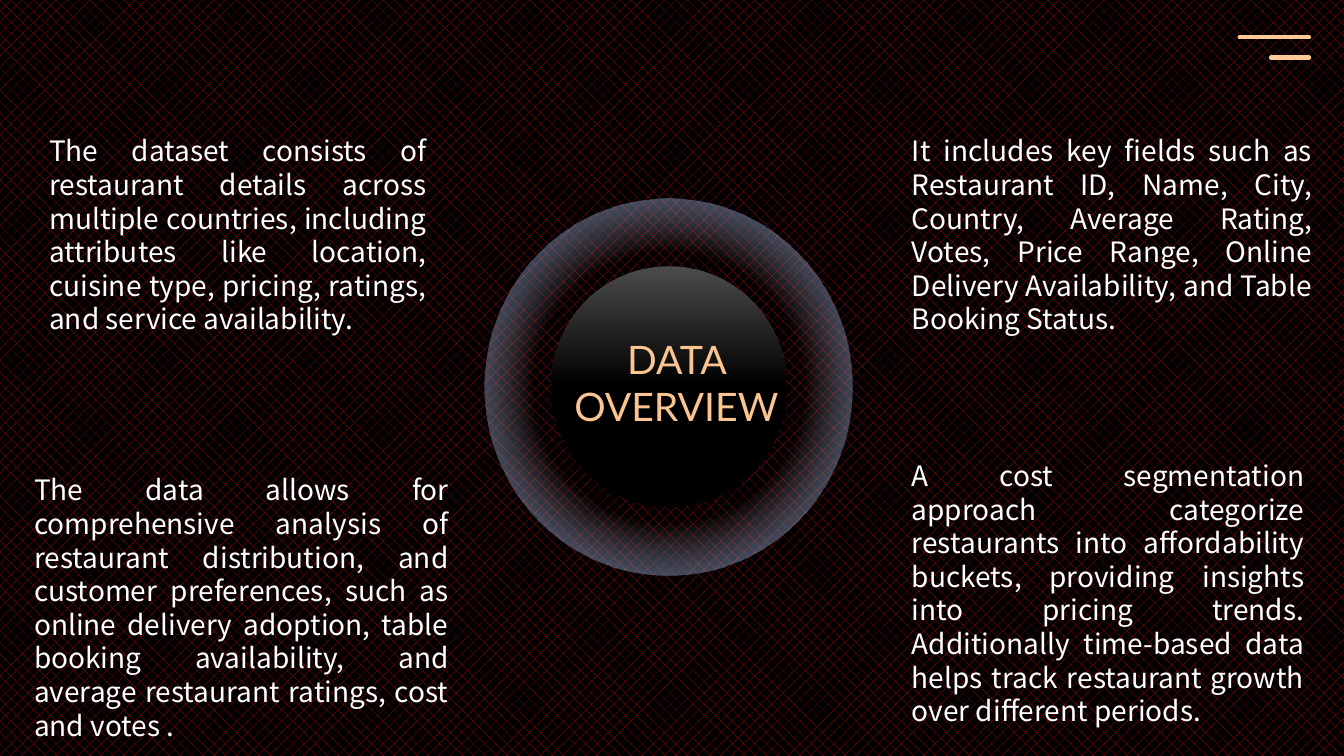
"""Builds the restaurant data overview slide."""
from lxml.etree import SubElement
from pptx import Presentation
from pptx.dml.color import RGBColor
from pptx.enum.dml import MSO_PATTERN
from pptx.enum.shapes import MSO_CONNECTOR, MSO_SHAPE
from pptx.enum.text import MSO_AUTO_SIZE, PP_ALIGN
from pptx.oxml import parse_xml
from pptx.oxml.ns import nsdecls, qn
from pptx.util import Cm, Pt

BLACK = RGBColor(0x00, 0x00, 0x00)
WHITE = RGBColor(0xFF, 0xFF, 0xFF)
RED = RGBColor(0xC0, 0x00, 0x00)
GREY = RGBColor(0x4B, 0x4B, 0x4B)
PALE_BLUE = RGBColor(0xDA, 0xE3, 0xF3)
BLUE = RGBColor(0x44, 0x72, 0xC4)
PEACH = RGBColor(0xFC, 0xC4, 0x90)
LIGHT_PEACH = RGBColor(0xFC, 0xC8, 0x96)

presentation = Presentation()
presentation.slide_width = Cm(33.87)
presentation.slide_height = Cm(19.05)
slide = presentation.slides.add_slide(presentation.slide_layouts[6])

background = slide.background.fill
background.patterned()
background.pattern = MSO_PATTERN.PERCENT_25
background.fore_color.rgb = RED
background.back_color.rgb = BLACK


def add_text(text, left, top, width, height, size, font, color, align, space_after=0):
    """Adds a wrapped text box with one paragraph."""
    box = slide.shapes.add_textbox(Cm(left), Cm(top), Cm(width), Cm(height))
    frame = box.text_frame
    frame.word_wrap = True
    frame.auto_size = MSO_AUTO_SIZE.SHAPE_TO_FIT_TEXT
    paragraph = frame.paragraphs[0]
    paragraph.alignment = align
    paragraph.space_after = Pt(space_after)
    run = paragraph.add_run()
    run.text = text
    run.font.size = Pt(size)
    run.font.name = font
    run.font.color.rgb = color


RADIAL = '<a:path path="circle"><a:fillToRect l="50000" t="50000" r="50000" b="50000"/></a:path>'
VERTICAL = '<a:lin ang="5400000" scaled="0"/>'
circles = [
    (12.22, 5.0, 9.27, 9.5, [(51, PALE_BLUE, 0), (100, BLUE, 100)], RADIAL),
    (13.89, 6.71, 5.94, 6.07, [(0, GREY, 100), (50, BLACK, 100), (100, BLACK, 100)], VERTICAL),
]
for left, top, width, height, stops, direction in circles:
    circle = slide.shapes.add_shape(MSO_SHAPE.OVAL, Cm(left), Cm(top), Cm(width), Cm(height))
    circle.shadow.inherit = False
    circle.line.fill.background()
    stop_xml = "".join(
        f'<a:gs pos="{position * 1000}"><a:srgbClr val="{color}">'
        f'<a:alpha val="{opacity * 1000}"/></a:srgbClr></a:gs>'
        for position, color, opacity in stops
    )
    gradient = parse_xml(
        f'<a:gradFill {nsdecls("a")} rotWithShape="1"><a:gsLst>{stop_xml}</a:gsLst>{direction}</a:gradFill>'
    )
    circle.element.spPr.find(qn("a:prstGeom")).addnext(gradient)

add_text("DATA OVERVIEW", 13.59, 8.33, 6.91, 2.64,
         size=28, font="Lato", color=PEACH, align=PP_ALIGN.CENTER)

for start, height in [(31.24, 0.94), (32.03, 1.45)]:
    bar = slide.shapes.add_connector(
        MSO_CONNECTOR.STRAIGHT, Cm(start), Cm(height), Cm(32.99), Cm(height))
    bar.line.color.rgb = LIGHT_PEACH
    bar.line.width = Pt(3)
    properties = bar.element.spPr
    properties.find(qn("a:ln")).set("cap", "rnd")
    SubElement(properties, qn("a:effectLst"))

notes = [
    (0.99, 3.25, 10.01, 5.38,
     "The dataset consists of restaurant details across multiple countries, including attributes "
     "like location, cuisine type, pricing, ratings, and service availability."),
    (22.73, 3.25, 10.59, 5.38,
     "It includes key fields such as Restaurant ID, Name, City, Country, Average Rating, Votes, "
     "Price Range, Online Delivery Availability, and Table Booking Status."),
    (0.61, 11.79, 10.95, 5.38,
     "The data allows for comprehensive analysis of restaurant distribution, and customer "
     "preferences, such as online delivery adoption, table booking availability, and average "
     "restaurant ratings, cost and votes ."),
    (22.73, 11.43, 10.39, 6.25,
     "A cost segmentation approach categorize restaurants into affordability buckets, providing "
     "insights into pricing trends. Additionally time-based data helps track restaurant growth "
     "over different periods."),
]
for left, top, width, height, text in notes:
    add_text(text, left, top, width, height, size=20, font="Noto Sans CJK SC",
             color=WHITE, align=PP_ALIGN.JUSTIFY, space_after=12)

presentation.save("out.pptx")
